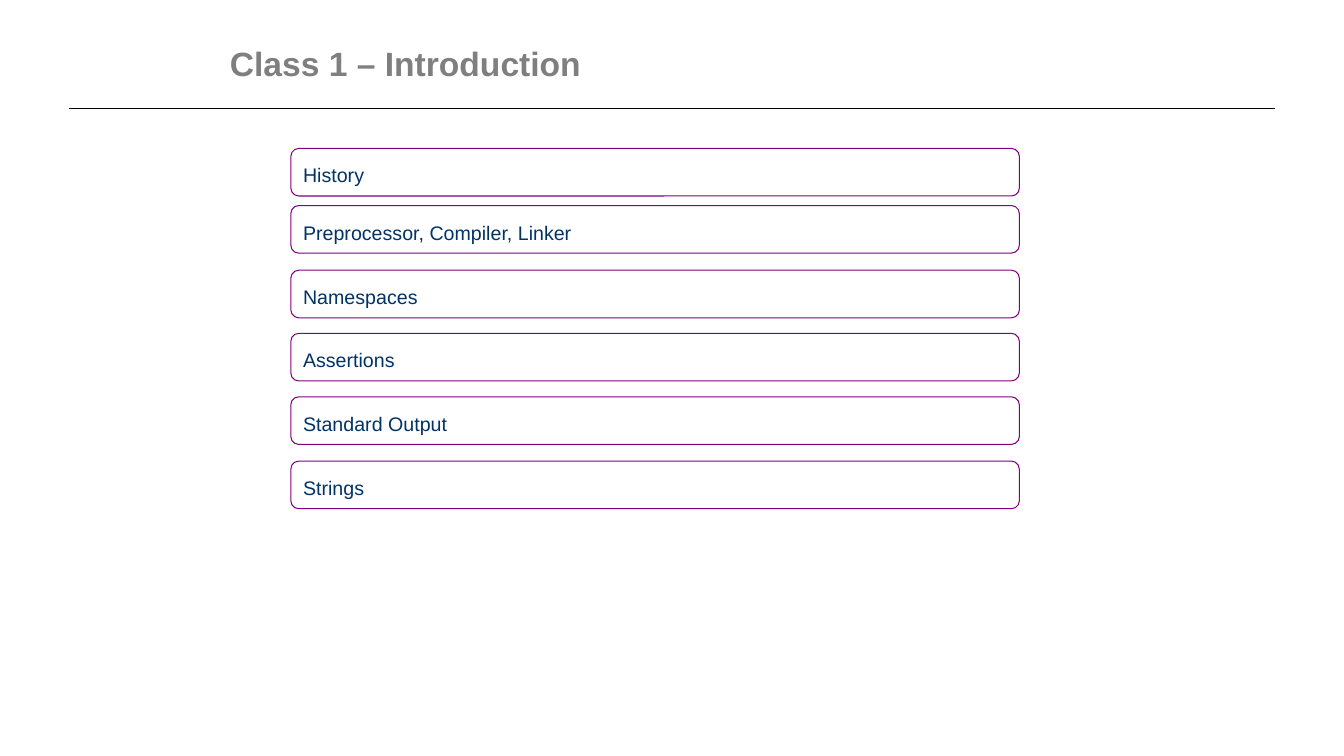
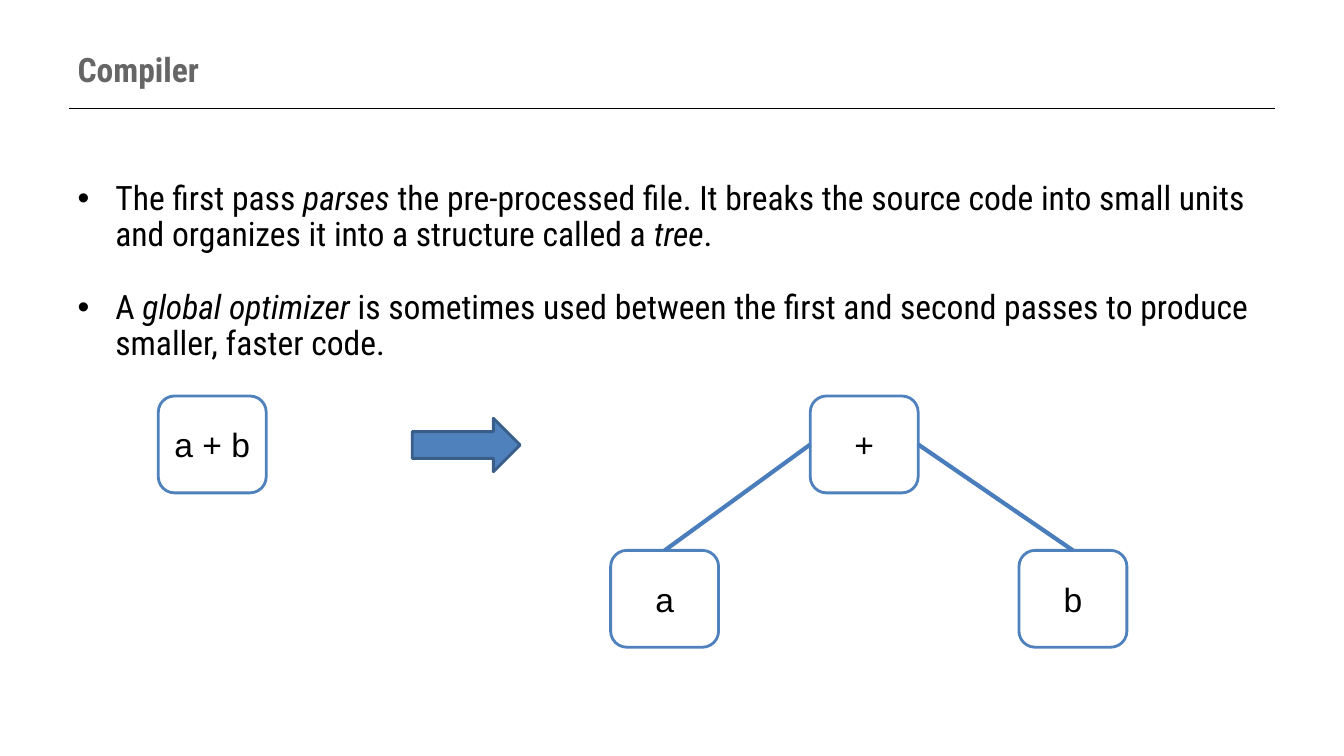
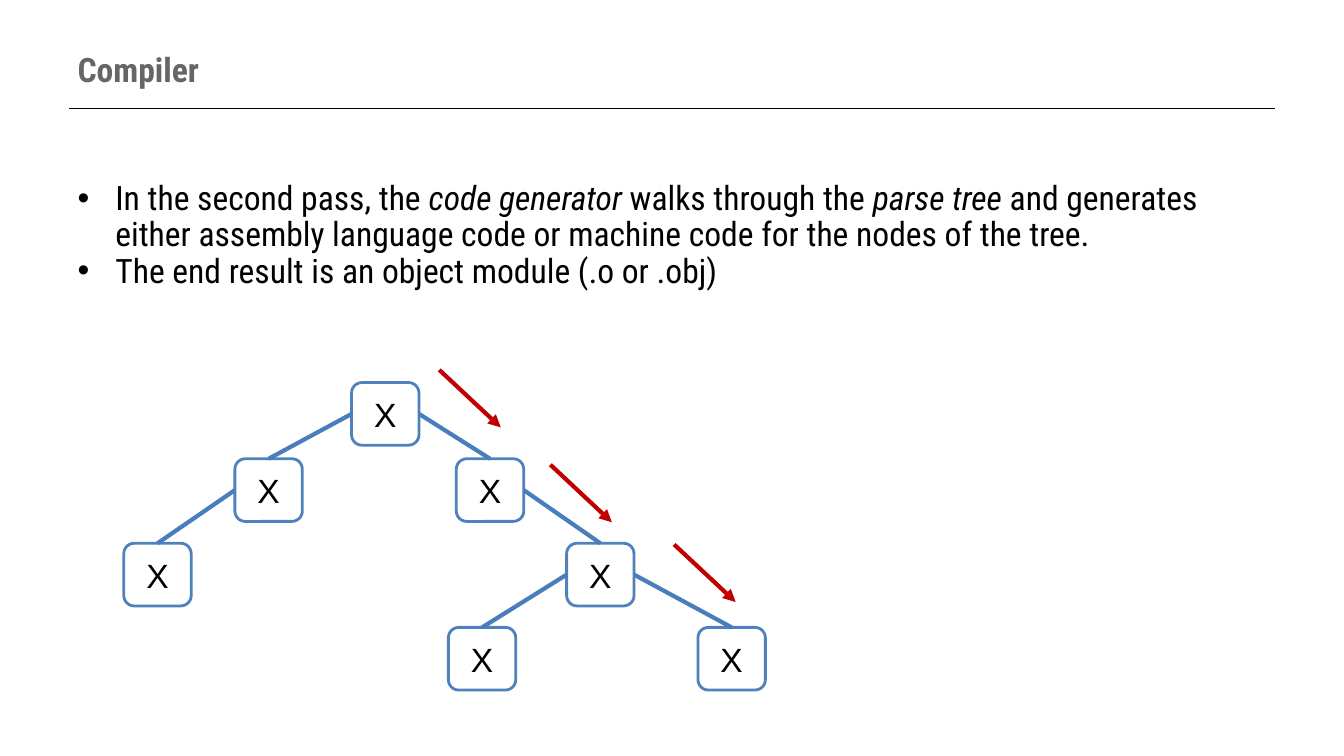
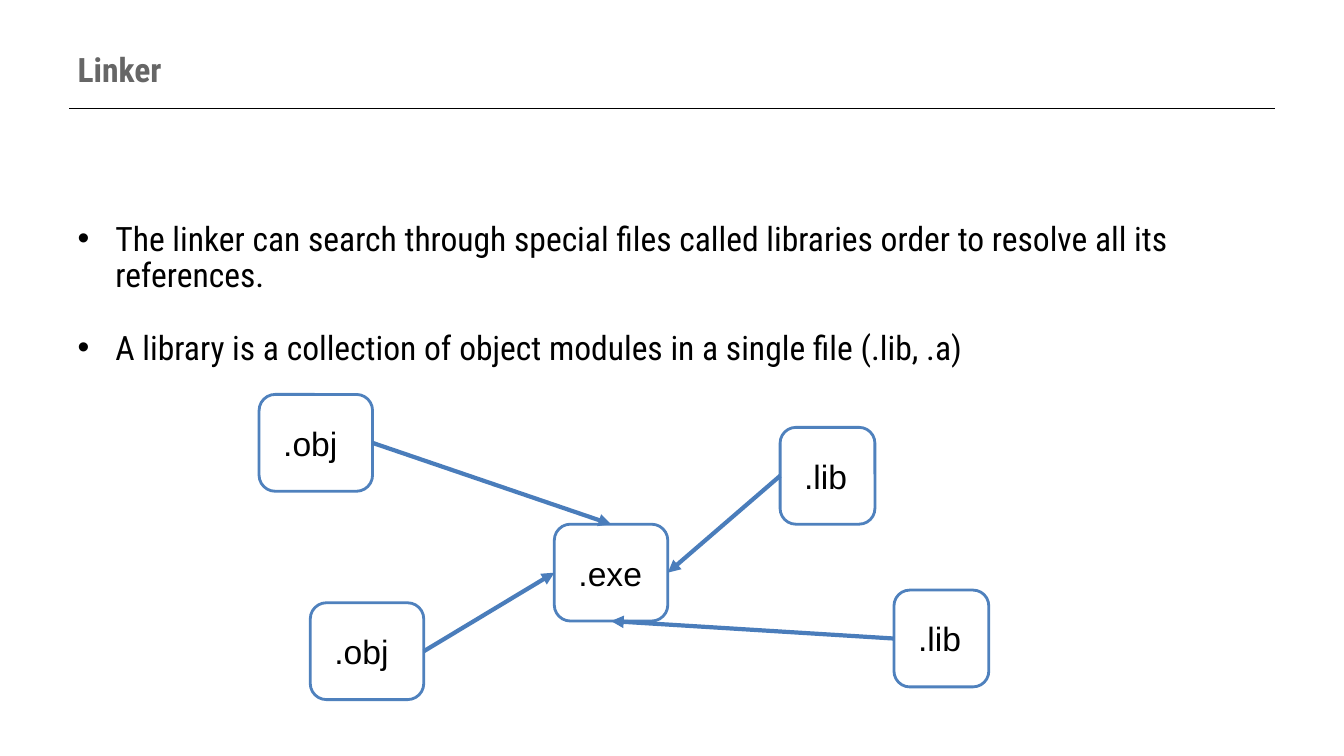
from pptx import Presentation
from pptx.dml.color import RGBColor
from pptx.enum.shapes import MSO_CONNECTOR, MSO_SHAPE
from pptx.enum.text import MSO_ANCHOR, MSO_AUTO_SIZE, PP_ALIGN
from pptx.oxml.ns import qn
from pptx.util import Cm, Pt
from lxml import etree

STRAIGHT = MSO_CONNECTOR.STRAIGHT
ROUNDED = MSO_SHAPE.ROUNDED_RECTANGLE
RIGHT_ARROW = MSO_SHAPE.RIGHT_ARROW
MIDDLE, TOP_ANCHOR = MSO_ANCHOR.MIDDLE, MSO_ANCHOR.TOP
LEFT_ALIGN, CENTER_ALIGN = PP_ALIGN.LEFT, PP_ALIGN.CENTER
NO_FIT = MSO_AUTO_SIZE.NONE
TOP, LEFT, BOTTOM, RIGHT = range(4)

BLACK = RGBColor(0x00, 0x00, 0x00)
WHITE = RGBColor(0xFF, 0xFF, 0xFF)
TITLE_GREY = RGBColor(0x66, 0x66, 0x66)
COVER_GREY = RGBColor(0x7F, 0x7F, 0x7F)
NAVY = RGBColor(0x00, 0x33, 0x66)
PURPLE = RGBColor(0x80, 0x00, 0x80)
BLUE = RGBColor(0x4F, 0x81, 0xBD)
EDGE_BLUE = RGBColor(0x4A, 0x7D, 0xBB)
DARK_BLUE = RGBColor(0x39, 0x5E, 0x8A)
RED = RGBColor(0xC0, 0x00, 0x00)
SANS, CONDENSED = "Arial", "Roboto Condensed"


def write(shape, *lines, font=SANS, size=24, color=BLACK, bold=False,
          align=LEFT_ALIGN, anchor=MIDDLE, spacing=1.0, gap=0):
    frame = shape.text_frame
    frame.word_wrap = True
    frame.auto_size = NO_FIT
    frame.vertical_anchor = anchor
    for index, line in enumerate(lines):
        para = frame.add_paragraph() if index else frame.paragraphs[0]
        para.alignment = align
        para.line_spacing = spacing
        para.space_before = Pt(gap if index else 0)
        for position, piece in enumerate(line.split("*")):
            span = para.add_run()
            span.text = piece
            span.font.name = font
            span.font.size = Pt(size)
            span.font.color.rgb = color
            span.font.bold = bold
            span.font.italic = position % 2 == 1


def style_line(connector, color, width, arrow=False):
    connector.line.color.rgb = color
    connector.line.width = Pt(width)
    properties = connector.element.spPr
    if arrow:
        etree.SubElement(properties.find(qn("a:ln")), qn("a:tailEnd"), type="triangle")
    etree.SubElement(properties, qn("a:effectLst"))


deck = Presentation()
deck.slide_width, deck.slide_height = Cm(33.87), Cm(19.05)

master = deck.slide_master
for holder, top, height in zip(master.placeholders, (0.76, 4.45), (1.96, 12.57)):
    holder.left, holder.top = Cm(1.7), Cm(top)
    holder.width, holder.height = Cm(30.48), Cm(height)

page = deck.slides.add_slide(deck.slide_layouts[5])
rule = page.shapes.add_connector(STRAIGHT, Cm(1.74), Cm(2.73), Cm(32.13), Cm(2.73))
style_line(rule, BLACK, 0.75)
master.shapes.element.append(rule.element)

title = page.shapes.title
title.left, title.top, title.width, title.height = Cm(5.54), Cm(0), Cm(22.86), Cm(3.18)
write(title, "Class 1 – Introduction", color=COVER_GREY, bold=True)

topics = [
    ("History", 3.74),
    ("Preprocessor, Compiler, Linker", 5.18),
    ("Namespaces", 6.81),
    ("Assertions", 8.4),
    ("Standard Output", 10),
    ("Strings", 11.62),
]
for topic, top in topics:
    box = page.shapes.add_shape(ROUNDED, Cm(7.33), Cm(top), Cm(18.36), Cm(1.2))
    box.shadow.inherit = False
    box.fill.background()
    box.line.color.rgb = PURPLE
    box.line.width = Pt(0.75)
    write(box, topic, size=14, color=NAVY, spacing=1.25)

lessons = [
    {
        "title": "Compiler",
        "bullets": [
            "The first pass *parses* the pre-processed file. It breaks the source code into "
            "small units and organizes it into a structure called a *tree*.",
            "A *global optimizer *is sometimes used between the first and second passes to "
            "produce smaller, faster code.",
        ],
        "gap": 26,
        "height": 2.44,
        "nodes": [
            ("a + b", 3.99, 9.98, 2.72),
            ("+", 20.42, 9.98, 2.72),
            ("a", 15.39, 13.87, 2.72),
            ("b", 25.68, 13.87, 2.72),
        ],
        "edges": [(1, LEFT, 2, TOP), (1, RIGHT, 3, TOP)],
    },
    {
        "title": "Compiler",
        "bullets": [
            "In the second pass, the *code generator *walks through the *parse tree *and "
            "generates either assembly language code or machine code for the nodes of the tree.",
            "The end result is an object module (.o or .obj)",
        ],
        "height": 1.58,
        "nodes": [
            ("X", 8.86, 9.64, 1.7),
            ("X", 5.92, 11.56, 1.7),
            ("X", 11.5, 11.56, 1.7),
            ("X", 3.12, 13.69, 1.7),
            ("X", 14.28, 13.69, 1.7),
            ("X", 11.3, 15.81, 1.7),
            ("X", 17.59, 15.81, 1.7),
        ],
        "edges": [
            (0, LEFT, 1, TOP),
            (0, RIGHT, 2, TOP),
            (1, LEFT, 3, TOP),
            (2, RIGHT, 4, TOP),
            (4, LEFT, 5, TOP),
            (4, RIGHT, 6, TOP),
        ],
    },
    {
        "title": "Linker",
        "bullets": [
            "The linker can search through special files called libraries order to resolve "
            "all its references.",
            "A library is a collection of object modules in a single file (.lib, .a)",
        ],
        "gap": 26,
        "drop": 1.02,
        "height": 2.44,
        "align": LEFT_ALIGN,
        "margin": 0.49,
        "arrow": True,
        "nodes": [
            (".exe", 13.97, 13.21, 2.86),
            (".obj", 6.53, 9.94, 2.86),
            (".obj", 7.82, 15.19, 2.86),
            (".lib", 19.66, 10.77, 2.39),
            (".lib", 22.53, 14.87, 2.39),
        ],
        "edges": [
            (1, RIGHT, 0, TOP),
            (2, RIGHT, 0, LEFT),
            (3, LEFT, 0, RIGHT),
            (4, LEFT, 0, BOTTOM),
        ],
    },
]

pages = []
for lesson in lessons:
    page = deck.slides.add_slide(deck.slide_layouts[1])
    pages.append(page)
    write(page.shapes.title, lesson["title"], font=CONDENSED, color=TITLE_GREY, bold=True)
    body = page.placeholders[1]
    drop = lesson.get("drop", 0)
    body.left, body.top = Cm(1.7), Cm(4.45 + drop)
    body.width, body.height = Cm(30.48), Cm(12.57 - drop)
    write(body, *lesson["bullets"], font=CONDENSED, anchor=TOP_ANCHOR,
          spacing=0.9, gap=lesson.get("gap", 0))

    nodes = []
    for label, left, top, width in lesson["nodes"]:
        node = page.shapes.add_shape(ROUNDED, Cm(left), Cm(top), Cm(width), Cm(lesson["height"]))
        node.shadow.inherit = False
        node.fill.solid()
        node.fill.fore_color.rgb = WHITE
        node.line.color.rgb = BLUE
        node.line.width = Pt(2)
        node.text_frame.margin_left = Cm(lesson.get("margin", 0.25))
        write(node, label, align=lesson.get("align", CENTER_ALIGN))
        nodes.append(node)

    for start, start_side, end, end_side in lesson["edges"]:
        edge = page.shapes.add_connector(STRAIGHT, 0, 0, 0, 0)
        edge.begin_connect(nodes[start], start_side)
        edge.end_connect(nodes[end], end_side)
        style_line(edge, EDGE_BLUE, 3, arrow=lesson.get("arrow", False))

parsing_page, walking_page, linker_page = pages

arrow = parsing_page.shapes.add_shape(RIGHT_ARROW, Cm(10.39), Cm(10.54), Cm(2.72), Cm(1.35))
arrow.shadow.inherit = False
arrow.fill.solid()
arrow.fill.fore_color.rgb = BLUE
arrow.line.color.rgb = DARK_BLUE
arrow.line.width = Pt(2)

for left, top in [(11.07, 9.32), (13.87, 11.71), (16.99, 13.72)]:
    step = walking_page.shapes.add_connector(
        STRAIGHT, Cm(left), Cm(top), Cm(left + 1.55), Cm(top + 1.45))
    style_line(step, RED, 3, arrow=True)

deck.save("out.pptx")
